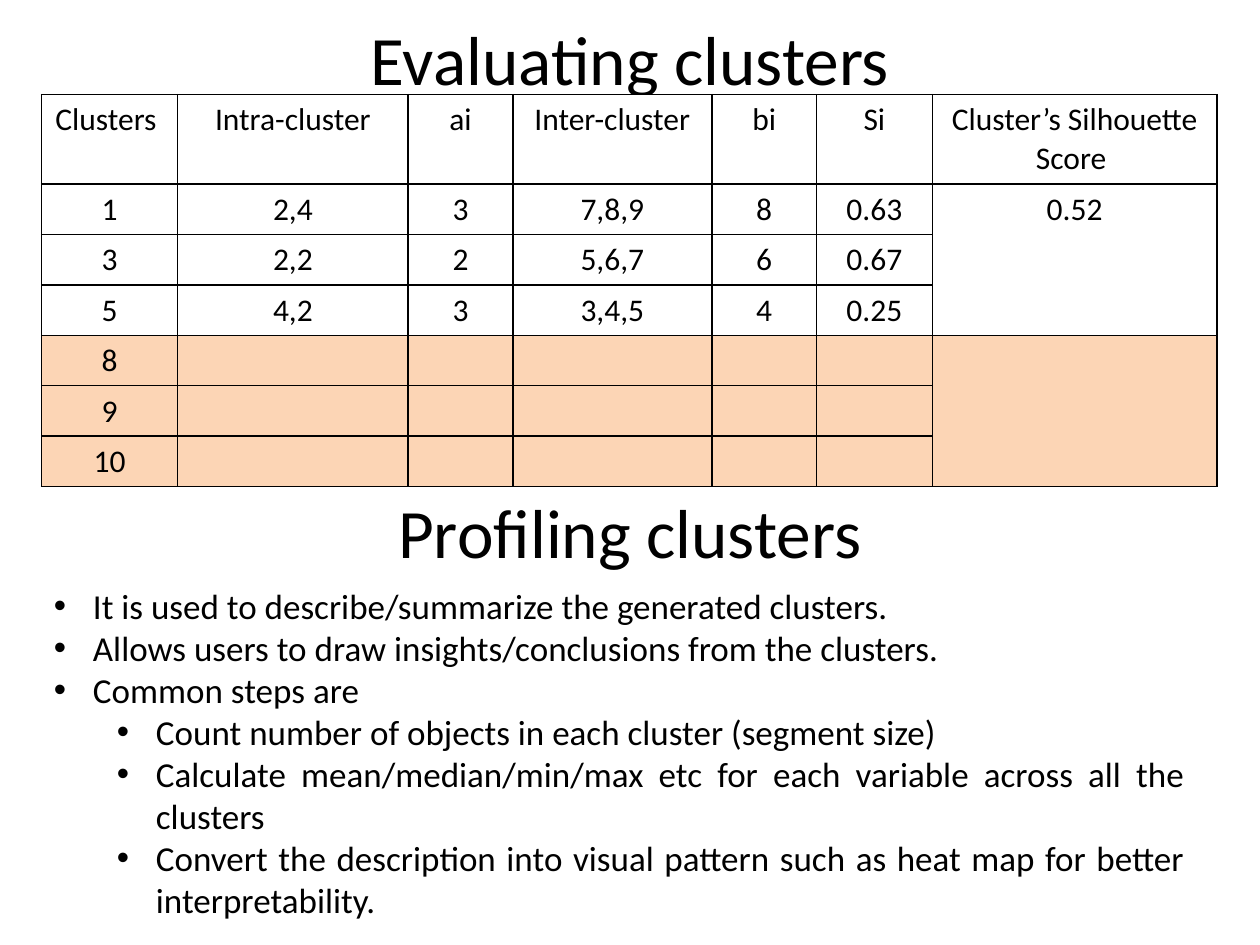
from typing import NamedTuple

from lxml import etree
from pptx import Presentation
from pptx import util as u
from pptx.dml import color
from pptx.enum import text
from pptx.oxml import ns

EMU_PER_PX = 9144
FONT = "Calibri"
BLACK = "000000"
WHITE = "FFFFFF"
PEACH = "FCD5B5"
BORDER_WIDTH = u.Pt(1)
BULLET_HANG = 31
LEVEL_INDENT = 50


class Box(NamedTuple):
    left: int
    top: int
    width: int
    height: int


class Heading(NamedTuple):
    words: str
    box: Box


class Bullet(NamedTuple):
    words: str
    level: int = 0


class ClusterRow(NamedTuple):
    values: tuple[str, ...]
    fill: str = WHITE


HEADINGS = [
    Heading("Evaluating clusters", Box(50, 8, 900, 75)),
    Heading("Profiling clusters", Box(50, 384, 900, 75)),
]
TABLE_BOX = Box(33, 75, 933, 313)
COLUMN_WIDTHS = [108, 183, 83, 158, 83, 92, 226]
HEADER_HEIGHT = 71
ROW_HEIGHT = 40
SCORE_COLUMN = 6
SCORE_SPANS = [(1, 3), (4, 6)]
ROWS = [
    ClusterRow(("Clusters ", "Intra-cluster", "ai", "Inter-cluster", "bi", "Si",
                "Cluster’s Silhouette Score ")),
    ClusterRow(("1", "2,4", "3", "7,8,9", "8", "0.63", "0.52")),
    ClusterRow(("3", "2,2", "2", "5,6,7", "6", "0.67", "")),
    ClusterRow(("5", "4,2", "3", "3,4,5", "4", "0.25", "")),
    *(ClusterRow((name, "", "", "", "", "", ""), PEACH) for name in ("8", "9", "10")),
]
BULLET_BOX = Box(33, 459, 917, 279)
BULLETS = [
    Bullet("It is used to describe/summarize the generated clusters."),
    Bullet("Allows users to draw insights/conclusions from the clusters."),
    Bullet("Common steps are"),
    Bullet("Count number of objects in each cluster (segment size)", 1),
    Bullet("Calculate mean/median/min/max etc for each variable across all the clusters", 1),
    Bullet("Convert the description into visual pattern such as heat map for better "
           "interpretability.", 1),
]


def px(length: int) -> u.Emu:
    return u.Emu(length * EMU_PER_PX)


def rgb(value: str) -> color.RGBColor:
    return color.RGBColor.from_string(value)


def write(paragraph, words: str, *, size: float, align=text.PP_ALIGN.CENTER,
          fill: str = BLACK) -> None:
    paragraph.alignment = align
    paragraph.font.size = u.Pt(size)
    paragraph.font.name = FONT
    paragraph.font.color.rgb = rgb(fill)
    if words:
        run = paragraph.add_run()
        run.text = words
        run.font.size = u.Pt(size)
        run.font.name = FONT
        run.font.color.rgb = rgb(fill)


def add_text_frame(slide, box: Box, anchor=text.MSO_ANCHOR.TOP):
    frame = slide.shapes.add_textbox(*map(px, box)).text_frame
    frame.word_wrap = True
    frame.vertical_anchor = anchor
    return frame


def draw_heading(slide, heading: Heading) -> None:
    frame = add_text_frame(slide, heading.box, text.MSO_ANCHOR.MIDDLE)
    write(frame.paragraphs[0], heading.words, size=39.6)


def draw_bullets(slide, box: Box, bullets: list[Bullet]) -> None:
    frame = add_text_frame(slide, box)
    frame.auto_size = text.MSO_AUTO_SIZE.SHAPE_TO_FIT_TEXT
    for index, bullet in enumerate(bullets):
        paragraph = frame.add_paragraph() if index else frame.paragraphs[0]
        paragraph.level = bullet.level
        properties = paragraph._p.get_or_add_pPr()
        properties.set("marL", str(px(BULLET_HANG + LEVEL_INDENT * bullet.level)))
        properties.set("indent", str(px(-BULLET_HANG)))
        etree.SubElement(properties, ns.qn("a:buFont"), typeface="Arial")
        etree.SubElement(properties, ns.qn("a:buChar"), char="•")
        write(paragraph, bullet.words, size=20, align=text.PP_ALIGN.JUSTIFY)


def add_borders(cell) -> None:
    properties = cell._tc.get_or_add_tcPr()
    for position, side in enumerate(("lnL", "lnR", "lnT", "lnB")):
        line = etree.Element(ns.qn(f"a:{side}"), w=str(BORDER_WIDTH))
        fill = etree.SubElement(line, ns.qn("a:solidFill"))
        etree.SubElement(fill, ns.qn("a:srgbClr"), val=BLACK)
        properties.insert(position, line)


def draw_table(slide, box: Box, rows: list[ClusterRow]) -> None:
    table = slide.shapes.add_table(len(rows), len(COLUMN_WIDTHS), *map(px, box)).table
    table.first_row = False
    table.horz_banding = False
    for column, width in zip(table.columns, COLUMN_WIDTHS):
        column.width = px(width)
    for row_index, row in enumerate(rows):
        table.rows[row_index].height = px(ROW_HEIGHT if row_index else HEADER_HEIGHT)
        for column_index, value in enumerate(row.values):
            cell = table.cell(row_index, column_index)
            cell.fill.solid()
            cell.fill.fore_color.rgb = rgb(row.fill)
            add_borders(cell)
            write(cell.text_frame.paragraphs[0], value, size=18)
    for first, last in SCORE_SPANS:
        table.cell(first, SCORE_COLUMN).merge(table.cell(last, SCORE_COLUMN))


def main() -> None:
    presentation = Presentation()
    presentation.slide_width = px(1000)
    presentation.slide_height = px(750)
    slide = presentation.slides.add_slide(presentation.slide_layouts[6])
    evaluating, profiling = HEADINGS
    draw_heading(slide, evaluating)
    draw_table(slide, TABLE_BOX, ROWS)
    draw_heading(slide, profiling)
    draw_bullets(slide, BULLET_BOX, BULLETS)
    presentation.save("out.pptx")


if __name__ == "__main__":
    main()
